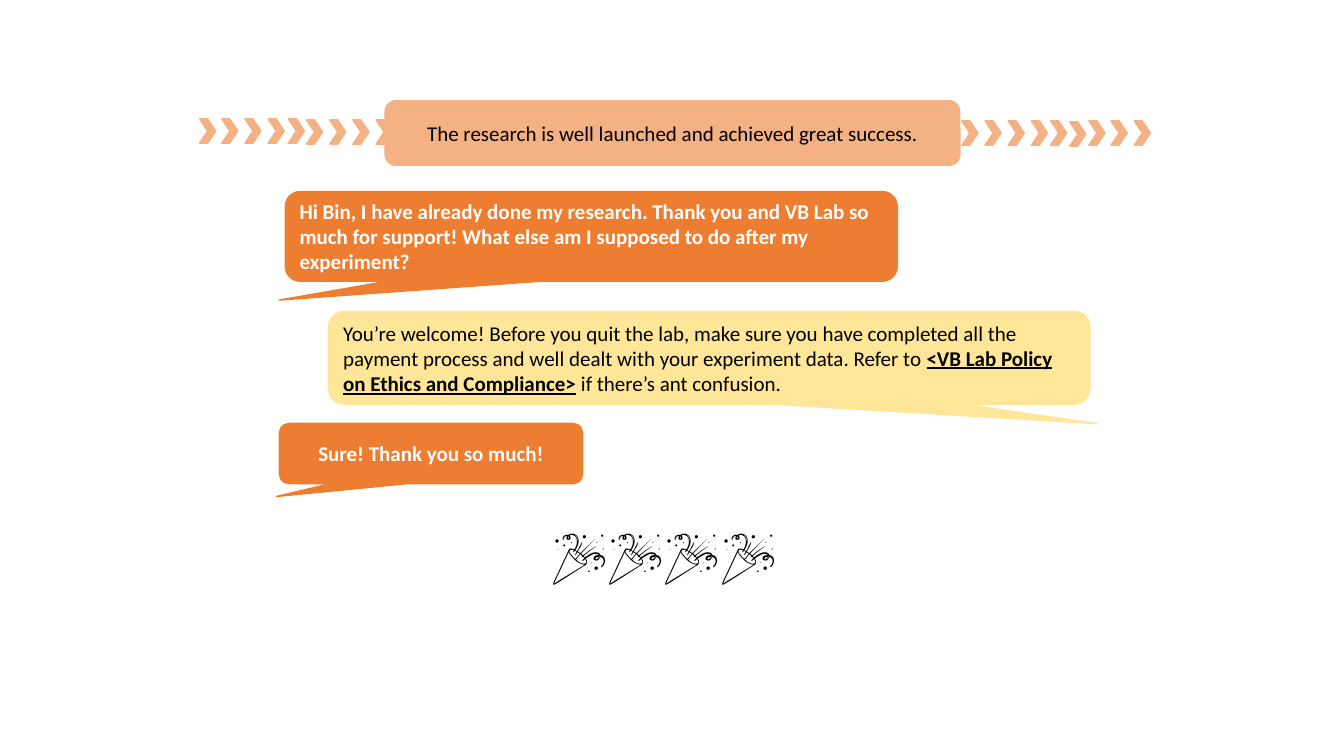
import pptx
import pptx.dml.color
import pptx.enum.shapes
import pptx.enum.text
import pptx.util
from pptx.util import Inches

SHAPES = pptx.enum.shapes.MSO_SHAPE
ALIGN = pptx.enum.text.PP_ALIGN
FONT = "Calibri"
ORANGE, PEACH, YELLOW = "ED7D31", "F4B183", "FFE699"
BLACK, WHITE = "000000", "FFFFFF"

LEFT_CHEVRONS = [(1.98, 1.18), (2.2, 1.18), (2.43, 1.18), (2.66, 1.18), (2.86, 1.18),
                 (3.04, 1.19), (3.27, 1.19), (3.5, 1.19), (3.73, 1.19)]
RIGHT_CHEVRONS = [(9.36, 1.21), (9.54, 1.2), (9.77, 1.2), (10, 1.2), (10.23, 1.2),
                  (10.42, 1.2), (10.61, 1.21), (10.8, 1.2), (11.02, 1.2), (11.25, 1.2)]


def color(value):
    """Turn a hex string into a colour."""
    return pptx.dml.color.RGBColor.from_string(value)


def add_filled_shape(slide, kind, box, fill):
    """Add a preset shape with a fill and an outline of one colour."""
    shape = slide.shapes.add_shape(kind, *map(Inches, box))
    shape.shadow.inherit = False
    shape.fill.solid()
    shape.fill.fore_color.rgb = color(fill)
    shape.line.color.rgb = color(fill)
    shape.line.width = pptx.util.Pt(1)
    return shape


def format_run(run, size, text_color, bold=False, underline=False):
    """Set the font of a run."""
    run.font.name = FONT
    run.font.size = pptx.util.Pt(size)
    run.font.color.rgb = color(text_color)
    run.font.bold = bold
    run.font.underline = underline


def write_text(shape, text, text_color, bold=False, align=ALIGN.LEFT):
    """Write a vertically centred message into a shape."""
    frame = shape.text_frame
    frame.word_wrap = True
    frame.vertical_anchor = pptx.enum.text.MSO_ANCHOR.MIDDLE
    frame.text = text
    paragraph = frame.paragraphs[0]
    paragraph.alignment = align
    format_run(paragraph.runs[0], 15, text_color, bold)
    return paragraph


def add_speech_bubble(slide, box, fill, tail):
    """Add a rounded callout whose tail points to the given offset."""
    bubble = add_filled_shape(slide, SHAPES.ROUNDED_RECTANGULAR_CALLOUT, box, fill)
    bubble.adjustments[0], bubble.adjustments[1] = tail
    return bubble


def add_celebration(slide):
    """Add the row of party poppers."""
    text_box = slide.shapes.add_textbox(*map(Inches, (5.37, 5.11, 2.97, 0.77)))
    frame = text_box.text_frame
    frame.word_wrap = True
    frame.auto_size = pptx.enum.text.MSO_AUTO_SIZE.SHAPE_TO_FIT_TEXT
    frame.text = "🎉" * 4
    format_run(frame.paragraphs[0].runs[0], 40, BLACK)


def main():
    """Build the closing conversation slide."""
    presentation = pptx.Presentation()
    presentation.slide_width = Inches(13.33)
    presentation.slide_height = Inches(7.5)
    slide = presentation.slides.add_slide(presentation.slide_layouts[6])

    for left, top in LEFT_CHEVRONS + RIGHT_CHEVRONS:
        add_filled_shape(slide, SHAPES.CHEVRON, (left, top, 0.16, 0.24), PEACH)
    banner = add_filled_shape(slide, SHAPES.ROUNDED_RECTANGLE, (3.82, 1, 5.7, 0.64), PEACH)
    write_text(banner, "The research is well launched and achieved great success.",
               BLACK, align=ALIGN.CENTER)

    left_tail, right_tail = (-0.51, 0.71), (0.51, 0.71)
    question = add_speech_bubble(slide, (2.83, 1.9, 6.07, 0.89), ORANGE, left_tail)
    write_text(question, "Hi Bin, I have already done my research. Thank you and VB Lab so "
               "much for support! What else am I supposed to do after my experiment?",
               WHITE, bold=True)

    answer = add_speech_bubble(slide, (3.26, 3.09, 7.55, 0.92), YELLOW, right_tail)
    paragraph = write_text(answer, "You’re welcome! Before you quit the lab, make sure you have "
                           "completed all the payment process and well dealt with your "
                           "experiment data. Refer to ", BLACK)
    for text, emphasis in [("<VB Lab Policy on Ethics and Compliance>", True),
                           (" if there’s ant confusion.", False)]:
        run = paragraph.add_run()
        run.text = text
        format_run(run, 15, BLACK, bold=emphasis, underline=emphasis)

    thanks = add_speech_bubble(slide, (2.77, 4.2, 3.01, 0.6), ORANGE, left_tail)
    write_text(thanks, "Sure! Thank you so much!", WHITE, bold=True, align=ALIGN.CENTER)

    add_celebration(slide)
    presentation.save("out.pptx")


if __name__ == "__main__":
    main()
